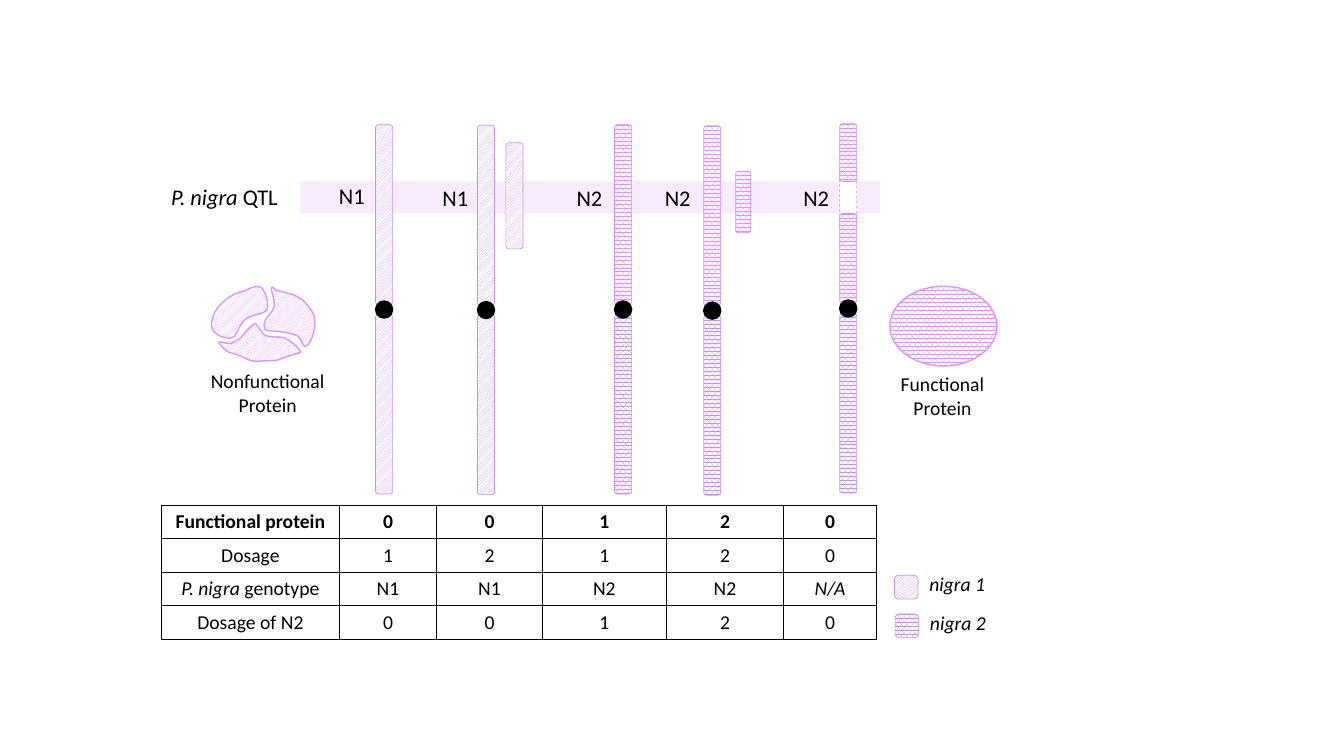
from dataclasses import dataclass
from lxml import etree
from pptx import Presentation
from pptx.dml.color import RGBColor
from pptx.enum import dml, shapes, text
from pptx.oxml import ns
from pptx.util import Pt


@dataclass(frozen=True)
class Theme:
    font: str = "Calibri"
    label: int = 16
    body: int = 14
    black: str = "000000"
    white: str = "FFFFFF"
    lilac: str = "C992E9"
    violet: str = "DC94FF"
    thin: float = 0.5
    rule: float = 1
    band_alpha: int = 18


THEME = Theme()
PATTERNS = {"nigra 1": dml.MSO_PATTERN.DARK_UPWARD_DIAGONAL,
            "nigra 2": dml.MSO_PATTERN.PERCENT_75}
RECT, ROUND, OVAL = (shapes.MSO_SHAPE.RECTANGLE, shapes.MSO_SHAPE.ROUNDED_RECTANGLE,
                     shapes.MSO_SHAPE.OVAL)

QTL_BAND = (214.5, 129.6, 414, 23)
QTL_TITLE = [("P. nigra ", True), ("QTL", False)]
CHROMOSOMES = [
    dict(left=268.3, top=89.1, kind="nigra 1", allele="N1", label=(235, 126.8)),
    dict(left=341.1, top=89.5, kind="nigra 1", allele="N1", label=(309, 127.8)),
    dict(left=439, top=89.1, kind="nigra 2", allele="N2", label=(404.8, 127.8)),
    dict(left=502.7, top=89.9, kind="nigra 2", allele="N2", label=(467.8, 127.8)),
    dict(left=599.8, top=88.4, kind="nigra 2", allele="N2", label=(566.7, 127.8),
         segments=[(0, 41.2), (64.2, 64)], gap=(31.6, 45.4)),
]
INSERTIONS = [("nigra 1", 361.4, 102, 12.2, 75.8), ("nigra 2", 525.5, 122.4, 10.8, 43.8)]
ARM_WIDTH, ARM_HEIGHT, LOWER_ARM, CENTROMERE = 12.2, 128.2, 135.6, 125.9

LEGEND = [("nigra 1", 638.9, 411), ("nigra 2", 639.4, 438.6)]
SWATCH = 16.9

TABLE_LEFT, TABLE_TOP, ROW_HEIGHT = 115.2, 360.8, 24
COLUMN_WIDTHS = [127.4, 69.2, 75.7, 88.5, 83.9, 66.2]
TABLE_ROWS = [
    [[("Functional protein", False)], "0", "0", "1", "2", "0"],
    ["Dosage", "1", "2", "1", "2", "0"],
    [[("P. nigra ", True), ("genotype", False)], "N1", "N1", "N2", "N2", [("N/A", True)]],
    ["Dosage of N2", "0", "0", "1", "2", "0"],
]

FUNCTIONAL = (635.6, 204.5, 76.5, 56.9)
FRAGMENT_LEFT, FRAGMENT_TOP, FRAGMENT_UNIT = 144, 201.6, 0.72
FRAGMENTS = [
    [(59, 5), (55, 2), (46, 7), (41, 9), (36, 10), (32, 12), (27, 15), (23, 18), (17, 23),
     (14, 28), (11, 33), (8, 43), (11, 47), (13, 52), (24, 57), (30, 55), (35, 54), (37, 42),
     (43, 37), (49, 32), (62, 32), (65, 27), (67, 21), (63, 8), (59, 5)],
    [(69, 6), (69, 9), (73, 18), (72, 24), (71, 29), (65, 34), (63, 38), (62, 42), (61, 45),
     (63, 47), (66, 49), (73, 48), (78, 49), (83, 50), (90, 51), (95, 53), (99, 56), (100, 64),
     (103, 64), (106, 63), (110, 55), (111, 50), (113, 45), (112, 39), (112, 35), (111, 30),
     (108, 27), (106, 24), (103, 20), (100, 17), (96, 15), (93, 13), (90, 12), (86, 11),
     (83, 10), (77, 9), (74, 8), (72, 7), (70, 3), (69, 6)],
    [(49, 44), (48, 45), (46, 46), (44, 49), (42, 51), (40, 54), (38, 56), (35, 58), (32, 60),
     (28, 61), (25, 61), (17, 58), (17, 60), (17, 61), (23, 67), (26, 69), (29, 71), (31, 70),
     (35, 72), (39, 73), (45, 77), (50, 78), (55, 79), (59, 78), (64, 78), (68, 78), (71, 78),
     (76, 77), (81, 75), (90, 72), (94, 71), (98, 69), (99, 71), (98, 69), (98, 68), (94, 63),
     (91, 61), (88, 59), (86, 57), (82, 55), (77, 54), (68, 55), (64, 53), (60, 52), (58, 46),
     (56, 44), (55, 42), (54, 41), (53, 41), (52, 41), (51, 42), (49, 44)],
]

deck = Presentation()
deck.slide_width, deck.slide_height = Pt(960), Pt(540)
slide = deck.slides.add_slide(deck.slide_layouts[6])


def rgb(code):
    return RGBColor.from_string(code)


def paint(part, fill, line=None, width=THEME.thin, kind=None):
    part.shadow.inherit = False
    if kind:
        part.fill.patterned()
        part.fill.pattern = PATTERNS[kind]
        part.fill.fore_color.rgb = rgb(fill)
        part.fill.back_color.rgb = rgb(THEME.white)
    else:
        part.fill.solid()
        part.fill.fore_color.rgb = rgb(fill)
    if line:
        part.line.color.rgb = rgb(line)
        part.line.width = Pt(width)
    else:
        part.line.fill.background()
    return part


def add(preset, box, *style, **options):
    return paint(slide.shapes.add_shape(preset, *map(Pt, box)), *style, **options)


def write(paragraph, content, size, bold=False, align=None):
    paragraph.alignment = align
    for words, italic in [(content, False)] if isinstance(content, str) else content:
        run = paragraph.add_run()
        run.text = words
        run.font.name, run.font.size = THEME.font, Pt(size)
        run.font.bold, run.font.italic = bold, italic
        run.font.color.rgb = rgb(THEME.black)


def caption(lines, box, size, wrap=False):
    frame = slide.shapes.add_textbox(*map(Pt, box)).text_frame
    frame.word_wrap = wrap
    frame.auto_size = text.MSO_AUTO_SIZE.SHAPE_TO_FIT_TEXT
    for index, line in enumerate(lines):
        paragraph = frame.add_paragraph() if index else frame.paragraphs[0]
        write(paragraph, line, size, align=text.PP_ALIGN.CENTER if wrap else text.PP_ALIGN.LEFT)


def add_curves(points):
    start, *rest = [(Pt(FRAGMENT_LEFT + x * FRAGMENT_UNIT), Pt(FRAGMENT_TOP + y * FRAGMENT_UNIT))
                    for x, y in points]
    builder = slide.shapes.build_freeform(*start)
    builder.add_line_segments(rest, close=True)
    fragment = builder.convert_to_shape()
    segments = list(fragment._element.iter(ns.qn("a:lnTo")))
    for i in range(0, len(segments), 3):
        curve = etree.Element(ns.qn("a:cubicBezTo"))
        segments[i].addprevious(curve)
        for segment in segments[i:i + 3]:
            curve.append(segment[0])
            segment.getparent().remove(segment)
    return fragment


def border(cell):
    properties = cell._tc.get_or_add_tcPr()
    for position, side in enumerate(("lnL", "lnR", "lnT", "lnB")):
        edge = etree.Element(ns.qn(f"a:{side}"), w=str(Pt(THEME.rule)))
        solid = etree.SubElement(edge, ns.qn("a:solidFill"))
        etree.SubElement(solid, ns.qn("a:srgbClr"), val=THEME.black)
        properties.insert(position, edge)


band = add(RECT, QTL_BAND, THEME.violet)
band_color = band.fill._xPr.find(".//" + ns.qn("a:srgbClr"))
etree.SubElement(band_color, ns.qn("a:alpha"), val=str(THEME.band_alpha * 1000))
caption([QTL_TITLE], (115.1, 127.4, 91.4, 26.6), THEME.label)

for chromosome in CHROMOSOMES:
    left, top, kind = (chromosome[key] for key in ("left", "top", "kind"))
    upper_fill = THEME.lilac if kind == "nigra 1" else THEME.violet
    add(ROUND, (left, top + LOWER_ARM, ARM_WIDTH, ARM_HEIGHT), THEME.lilac, THEME.lilac, kind=kind)
    if "gap" in chromosome:
        offset, height = chromosome["gap"]
        gap = add(ROUND, (left, top + offset, ARM_WIDTH, height), THEME.white, THEME.lilac)
        gap.line.dash_style = dml.MSO_LINE.DASH
    for offset, height in chromosome.get("segments", [(0, ARM_HEIGHT)]):
        add(ROUND, (left, top + offset, ARM_WIDTH, height), upper_fill, THEME.lilac, kind=kind)
    add(OVAL, (left, top + CENTROMERE, ARM_WIDTH, ARM_WIDTH), THEME.black, THEME.black, THEME.rule)
    caption([chromosome["allele"]], (*chromosome["label"], 33, 26.6), THEME.label)

for kind, *box in INSERTIONS:
    fill = THEME.lilac if kind == "nigra 1" else THEME.violet
    add(ROUND, box, fill, THEME.lilac, kind=kind)

for kind, left, top in LEGEND:
    add(ROUND, (left, top, SWATCH, SWATCH), THEME.lilac, THEME.lilac, kind=kind)
    caption([[(kind, True)]], (left + 17.8, top - 6, 54.7, 24.2), THEME.body)

for points in FRAGMENTS:
    paint(add_curves(points), THEME.violet, THEME.violet, THEME.rule, "nigra 1")
caption(["Nonfunctional", "Protein"], (141.5, 260.2, 99.4, 41.2), THEME.body, wrap=True)
add(OVAL, FUNCTIONAL, THEME.violet, THEME.violet, THEME.rule, "nigra 2")
caption(["Functional Protein"], (634.9, 262.3, 76.6, 41.2), THEME.body, wrap=True)

table = slide.shapes.add_table(
    len(TABLE_ROWS), len(COLUMN_WIDTHS), Pt(TABLE_LEFT), Pt(TABLE_TOP),
    Pt(sum(COLUMN_WIDTHS)), Pt(ROW_HEIGHT * len(TABLE_ROWS))).table
table.first_row = table.horz_banding = False
for column, width in zip(table.columns, COLUMN_WIDTHS):
    column.width = Pt(width)
for r, row in enumerate(TABLE_ROWS):
    for c, content in enumerate(row):
        cell = table.cell(r, c)
        cell.margin_top = cell.margin_bottom = Pt(3.4)
        cell.vertical_anchor = text.MSO_ANCHOR.MIDDLE
        cell.fill.solid()
        cell.fill.fore_color.rgb = rgb(THEME.white)
        write(cell.text_frame.paragraphs[0], content, THEME.body, r == 0, text.PP_ALIGN.CENTER)
        border(cell)

deck.save("out.pptx")
